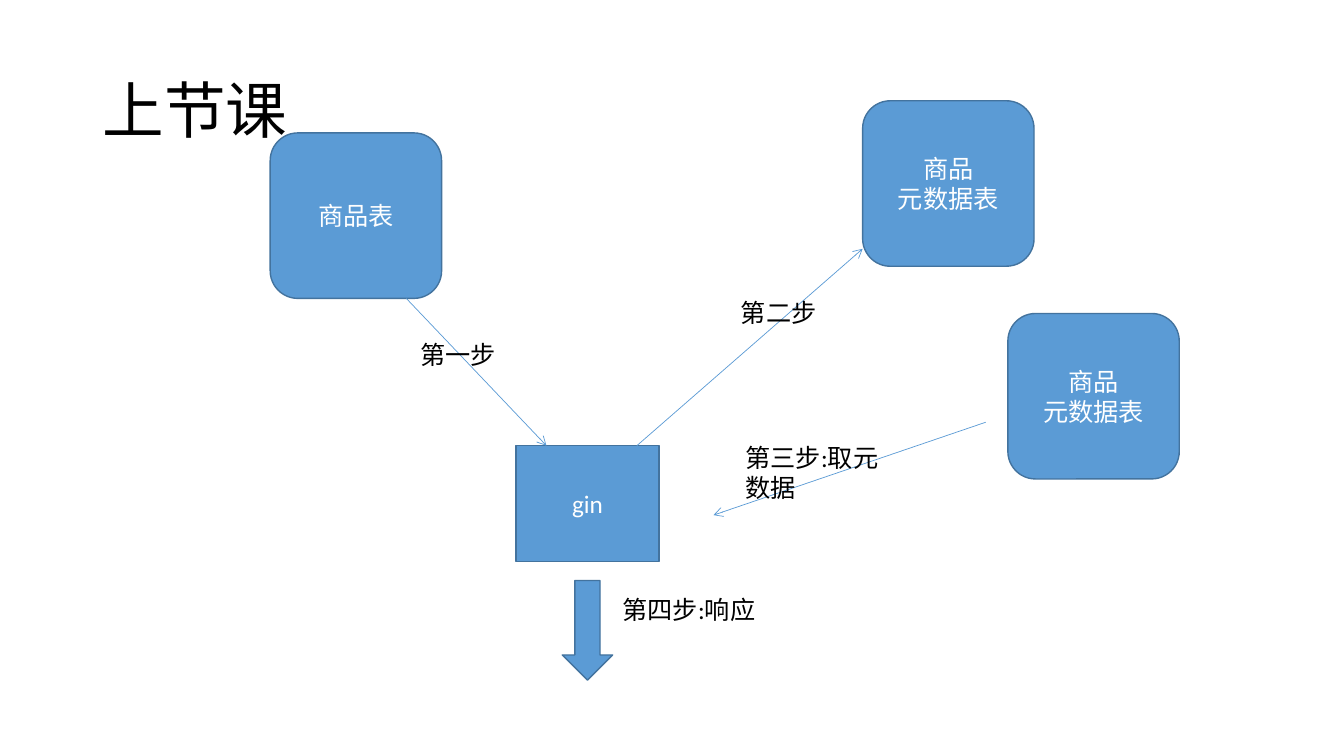
from pptx import Presentation
from pptx import util as u
from pptx.dml.color import RGBColor
from pptx.enum import shapes, text
from lxml import etree
from pptx.oxml import ns

THEME = {
    "font": "Calibri", "title": 44, "body": 18,
    "fill": RGBColor(0x5B, 0x9B, 0xD5), "border": RGBColor(0x43, 0x73, 0x9E),
    "dark": RGBColor(0, 0, 0), "light": RGBColor(255, 255, 255),
}
Cm = u.Cm
KIND = shapes.MSO_SHAPE

prs = Presentation()
prs.slide_width, prs.slide_height = Cm(33.87), Cm(19.05)
s = prs.slides.add_slide(prs.slide_layouts[6])


def write(sp, words, size, color, align, anchor):
    tf = sp.text_frame
    tf.text = words
    tf.word_wrap = True
    tf.vertical_anchor = anchor
    for p in tf.paragraphs:
        p.alignment = align
        for r in p.runs:
            r.font.name = THEME["font"]
            r.font.size = u.Pt(size)
            r.font.color.rgb = color
    return tf


# Title
sp = s.shapes.add_textbox(Cm(2.34), Cm(1.02), Cm(29.21), Cm(3.68))
tf = write(sp, "上节课", THEME["title"], THEME["dark"],
           text.PP_ALIGN.LEFT, text.MSO_ANCHOR.MIDDLE)
tf.paragraphs[0].line_spacing = 0.9

# Tables, gin server and response arrow
table_size = (4.32, 4.17)
nodes = [
    (KIND.ROUNDED_RECTANGLE, 6.81, 3.35, *table_size, "商品表"),
    (KIND.ROUNDED_RECTANGLE, 21.74, 2.54, *table_size, "商品\n元数据表"),
    (KIND.ROUNDED_RECTANGLE, 25.4, 7.9, *table_size, "商品\n元数据表"),
    (KIND.RECTANGLE, 13, 11.23, 3.61, 2.92, "gin"),
    (KIND.DOWN_ARROW, 14.17, 14.63, 1.27, 2.51, ""),
]
for kind, x, y, w, h, words in nodes:
    sp = s.shapes.add_shape(kind, Cm(x), Cm(y), Cm(w), Cm(h))
    sp.shadow.inherit = False
    sp.fill.solid()
    sp.fill.fore_color.rgb = THEME["fill"]
    sp.line.color.rgb = THEME["border"]
    sp.line.width = u.Pt(1)
    if words:
        write(sp, words, THEME["body"], THEME["light"],
              text.PP_ALIGN.CENTER, text.MSO_ANCHOR.MIDDLE)

# Arrows between gin and the tables
arrows = [
    (10.24, 7.52, 13.77, 11.23),
    (16.05, 11.23, 21.74, 6.27),
    (24.84, 10.64, 17.98, 12.98),
]
for ends in arrows:
    cx = s.shapes.add_connector(shapes.MSO_CONNECTOR.STRAIGHT, *map(Cm, ends))
    cx.line.color.rgb = THEME["fill"]
    cx.line.width = u.Pt(0.5)
    etree.SubElement(cx.line._get_or_add_ln(), ns.qn("a:tailEnd"), type="arrow")
    etree.SubElement(cx._element.spPr, ns.qn("a:effectLst"))

# Step labels
labels = [
    (10.34, 8.43, 3.33, 1.02, "第一步"),
    (18.42, 7.37, 3.33, 1.02, "第二步"),
    (18.54, 11.02, 4.37, 1.8, "第三步:取元数据"),
    (15.44, 14.86, 4.37, 1.02, "第四步:响应"),
]
for x, y, w, h, words in labels:
    sp = s.shapes.add_textbox(Cm(x), Cm(y), Cm(w), Cm(h))
    tf = write(sp, words, THEME["body"], THEME["dark"],
               text.PP_ALIGN.LEFT, text.MSO_ANCHOR.TOP)
    tf.auto_size = text.MSO_AUTO_SIZE.SHAPE_TO_FIT_TEXT

prs.save("out.pptx")
